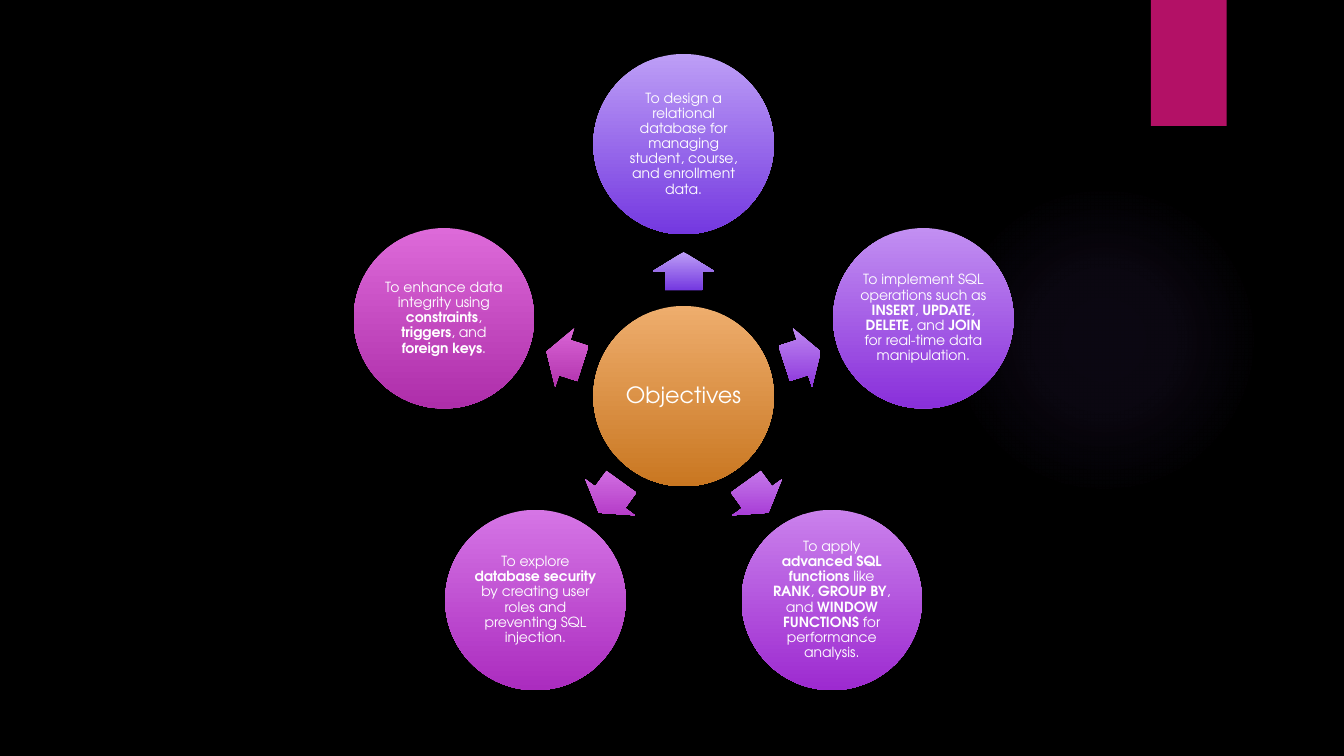
"""Build the objectives slide: a central hub with five goals around it."""
from dataclasses import dataclass
from math import cos, radians, sin

from pptx import Presentation
from pptx import util as u
from pptx.dml.color import RGBColor
from pptx.enum import shapes, text
from pptx.oxml import parse_xml
from pptx.oxml.ns import nsdecls, qn
from pptx.shapes.autoshape import Shape
from pptx.slide import Slide

FONT = "TeX Gyre Adventor"
BLACK = RGBColor(0x00, 0x00, 0x00)
WHITE = RGBColor(0xFF, 0xFF, 0xFF)
MAGENTA = RGBColor(0xB3, 0x11, 0x66)
GLOW = RGBColor(0x9B, 0x6B, 0xF2)
GLOW_STOPS = ((0, 7), (36, 6), (69, 0))
ORANGE_TOP = RGBColor(0xEE, 0xAD, 0x6D)
ORANGE_BOTTOM = RGBColor(0xC9, 0x77, 0x21)

CENTER_X, CENTER_Y = 6.78, 3.93
DIAMETER = 1.79
GOAL_RADIUS = 2.5
ARROW_RADIUS = 1.24
ARROW_WIDTH, ARROW_HEIGHT = 0.38, 0.61


@dataclass(frozen=True)
class Goal:
    """One outer circle; words between bars in its wording are bold."""

    wording: str
    top: RGBColor
    bottom: RGBColor


GOALS = (
    Goal("To design a relational database for managing student, course, and enrollment data.",
         RGBColor(0xBD, 0x9E, 0xF6), RGBColor(0x74, 0x38, 0xE0)),
    Goal("To implement SQL operations such as |INSERT|, |UPDATE|, |DELETE|, and |JOIN| "
         "for real-time data manipulation.",
         RGBColor(0xC2, 0x8F, 0xF2), RGBColor(0x89, 0x2F, 0xDA)),
    Goal("To apply |advanced SQL functions| like |RANK|, |GROUP BY|, and |WINDOW FUNCTIONS| "
         "for performance analysis.",
         RGBColor(0xCA, 0x81, 0xEC), RGBColor(0x9D, 0x2A, 0xD0)),
    Goal("To explore |database security| by creating user roles and preventing SQL injection.",
         RGBColor(0xD5, 0x75, 0xE5), RGBColor(0xAB, 0x2C, 0xBF)),
    Goal("To enhance data integrity using |constraints|, |triggers|, and |foreign keys|.",
         RGBColor(0xDD, 0x6A, 0xD9), RGBColor(0xAE, 0x2E, 0xAA)),
)


def add_centered(page: Slide, kind: shapes.MSO_SHAPE, x: float, y: float,
                 width: float, height: float) -> Shape:
    """Add a preset shape without line or shadow around a centre point."""
    shape = page.shapes.add_shape(kind, u.Inches(x - width / 2), u.Inches(y - height / 2),
                                  u.Inches(width), u.Inches(height))
    shape.shadow.inherit = False
    shape.line.fill.background()
    return shape


def fill_downward(shape: Shape, top: RGBColor, bottom: RGBColor) -> None:
    """Shade a shape from top to bottom of the slide, whatever its rotation."""
    shape.fill.gradient()
    shape.fill.gradient_angle = 270
    for stop, color in zip(shape.fill.gradient_stops, (top, bottom)):
        stop.color.rgb = color
    shape._element.spPr.find(qn("a:gradFill")).set("rotWithShape", "0")


def add_glow(page: Slide) -> None:
    """Add the faint radial light at the right."""
    glow = add_centered(page, shapes.MSO_SHAPE.OVAL, 10.95, 3.37, 3.08, 3.08)
    glow.fill.gradient()
    stops = "".join(
        f'<a:gs pos="{position * 1000}"><a:srgbClr val="{GLOW}">'
        f'<a:alpha val="{opacity * 1000}"/></a:srgbClr></a:gs>'
        for position, opacity in GLOW_STOPS)
    radial = parse_xml(
        f'<a:gradFill {nsdecls("a")}><a:gsLst>{stops}</a:gsLst><a:path path="circle">'
        '<a:fillToRect l="50000" t="50000" r="50000" b="50000"/></a:path></a:gradFill>')
    properties = glow._element.spPr
    properties.replace(properties.find(qn("a:gradFill")), radial)


def add_ribbon(page: Slide) -> None:
    """Add the magenta tab at the top edge."""
    ribbon = add_centered(page, shapes.MSO_SHAPE.RECTANGLE, 11.79, 0.625, 0.75, 1.25)
    ribbon.fill.solid()
    ribbon.fill.fore_color.rgb = MAGENTA


def add_circle(page: Slide, x: float, y: float, goal: Goal, size: int) -> None:
    """Add a shaded circle with its wording."""
    circle = add_centered(page, shapes.MSO_SHAPE.OVAL, x, y, DIAMETER, DIAMETER)
    fill_downward(circle, goal.top, goal.bottom)
    frame = circle.text_frame
    frame.word_wrap = True
    frame.vertical_anchor = text.MSO_ANCHOR.MIDDLE
    frame.margin_left = frame.margin_right = u.Inches(0.01)
    frame.margin_top = frame.margin_bottom = u.Inches(0.01)
    para = frame.paragraphs[0]
    para.alignment = text.PP_ALIGN.CENTER
    para.line_spacing = 0.9
    for index, words in enumerate(goal.wording.split("|")):
        span = para.add_run()
        span.text = words
        span.font.name = FONT
        span.font.size = u.Pt(size)
        span.font.bold = index % 2 == 1
        span.font.color.rgb = WHITE


def add_arrow(page: Slide, x: float, y: float, angle: float, goal: Goal) -> None:
    """Add an arrow pointing away from the hub."""
    arrow = add_centered(page, shapes.MSO_SHAPE.RIGHT_ARROW, x, y, ARROW_WIDTH, ARROW_HEIGHT)
    arrow.adjustments[0] = 0.6
    arrow.adjustments[1] = 0.5
    arrow.rotation = angle % 360
    fill_downward(arrow, goal.top, goal.bottom)


def around_hub(radius: float, angle: float) -> tuple[float, float]:
    """Return the point at a clockwise angle and distance from the hub."""
    turn = radians(angle)
    return CENTER_X + radius * cos(turn), CENTER_Y + radius * sin(turn)


def main() -> None:
    """Draw the slide and save it."""
    deck = Presentation()
    deck.slide_width, deck.slide_height = u.Inches(13.33), u.Inches(7.5)
    page = deck.slides.add_slide(deck.slide_layouts[6])
    page.background.fill.solid()
    page.background.fill.fore_color.rgb = BLACK
    add_glow(page)
    add_ribbon(page)
    add_circle(page, CENTER_X, CENTER_Y, Goal("Objectives", ORANGE_TOP, ORANGE_BOTTOM), 16)
    for index, goal in enumerate(GOALS):
        angle = 360 / len(GOALS) * index - 90
        add_arrow(page, *around_hub(ARROW_RADIUS, angle), angle, goal)
        add_circle(page, *around_hub(GOAL_RADIUS, angle), goal, 10)
    deck.save("out.pptx")


if __name__ == "__main__":
    main()
